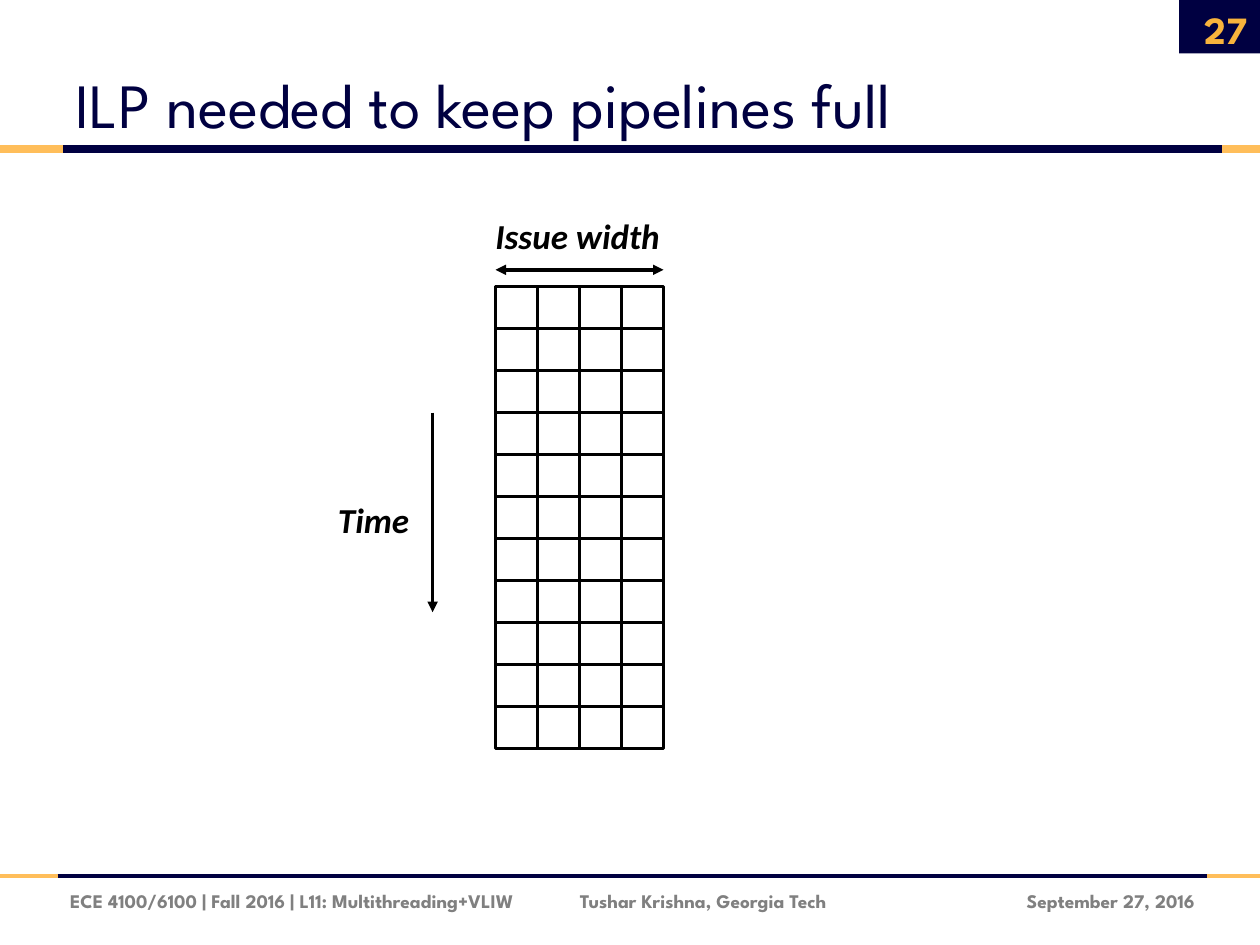
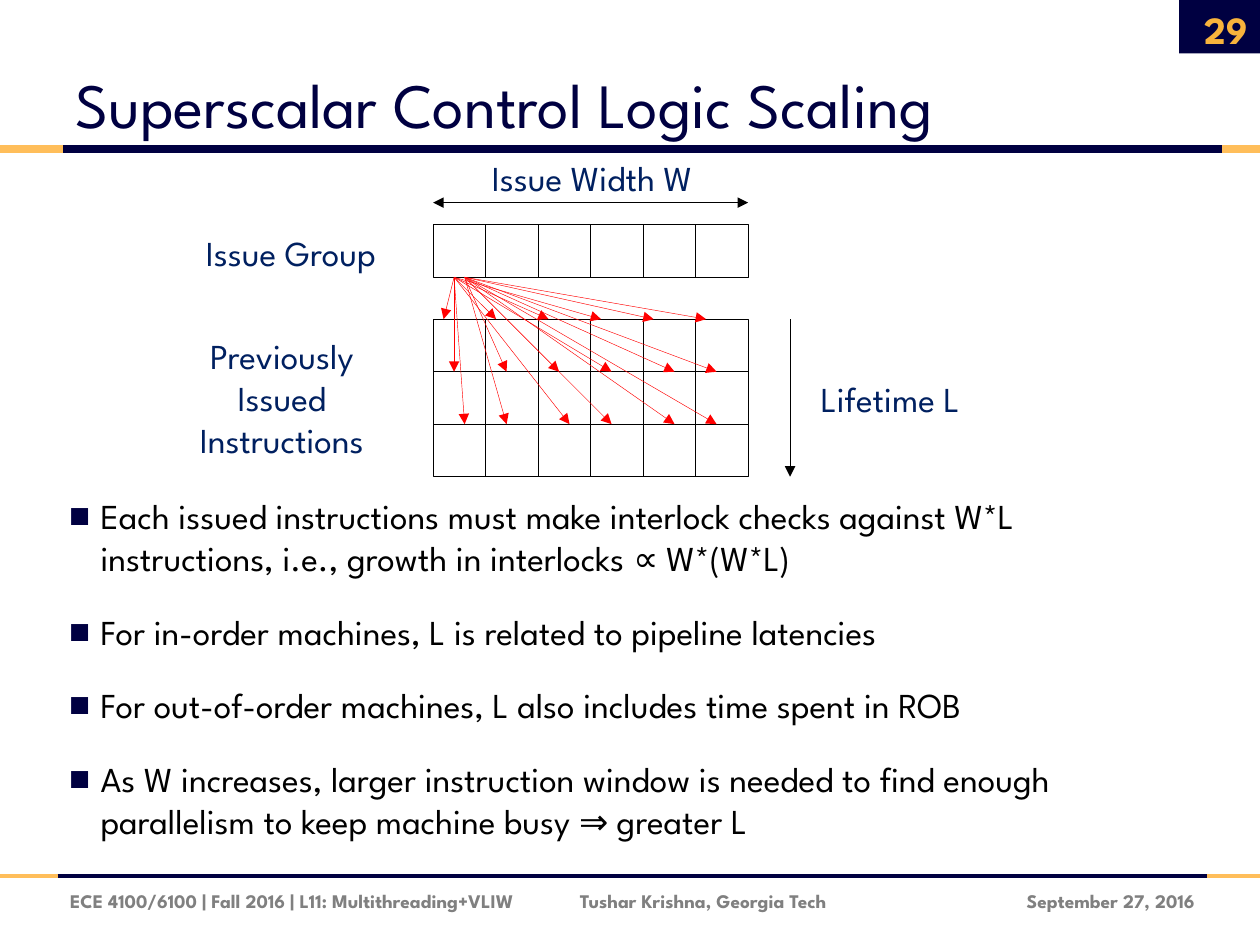
import pptx
import pptx.util
import pptx.dml.color
import pptx.enum.shapes
import pptx.enum.text
import pptx.oxml
import pptx.oxml.ns

NAVY, GOLD, BADGE = "000041", "FFBE5A", "F8B33C"
BLACK, WHITE, RED, BLUE = "000000", "FFFFFF", "FF0000", "002060"
GREY = "808080"
FONT = "League Spartan"
COLS, ROWS = 120, 90
WIDE, HIGH = pptx.util.Inches(10), pptx.util.Inches(7.5)
ALIGN = pptx.enum.text.PP_ALIGN
ANCHOR = pptx.enum.text.MSO_ANCHOR

FANS = [
    (0, [(2, 1), (2, 6), (2, 11), (2, 16), (3, 21), (3, 26)]),
    (5, [(2, 2), (3, 7), (3, 12), (2, 17), (3, 23), (3, 27)]),
    (10, [(2, 3), (3, 7), (2, 13), (3, 17), (3, 23), (3, 27)]),
]
POINTS = [
    "Each issued instructions must make interlock checks against W*L "
    "instructions, i.e., growth in interlocks ∝ W*(W*L)",
    "For in-order machines, L is related to pipeline latencies",
    "For out-of-order machines, L also includes time spent in ROB",
    "As W increases, larger instruction window is needed to find enough "
    "parallelism to keep machine busy ⇒ greater L",
]


def tint(code):
    """Turn a hex string into a colour."""
    return pptx.dml.color.RGBColor.from_string(code)


def span(x, y):
    """Turn grid columns and rows into slide lengths."""
    return round(x * WIDE / COLS), round(y * HIGH / ROWS)


def shift(box, x, y, w, h):
    """Place a part relative to the corner of a box."""
    return box[0] + x, box[1] + y, w, h


def node(parent, tag, **attrs):
    """Append a drawing element to a parent."""
    item = pptx.oxml.parse_xml(f"<a:{tag} {pptx.oxml.ns.nsdecls('a')}/>")
    for key, val in attrs.items():
        item.set(key, val)
    parent.append(item)
    return item


def block(slide, box, fill=None, edge=None, width=0):
    """Draw a plain rectangle."""
    shape = slide.shapes.add_shape(
        pptx.enum.shapes.MSO_SHAPE.RECTANGLE, *span(*box[:2]), *span(*box[2:]))
    shape.shadow.inherit = False
    if fill:
        shape.fill.solid()
        shape.fill.fore_color.rgb = tint(fill)
    else:
        shape.fill.background()
    if edge:
        shape.line.color.rgb = tint(edge)
        shape.line.width = pptx.util.Pt(width)
    else:
        shape.line.fill.background()


def rule(slide, start, end, color, width, head=False, tail=False):
    """Draw a straight line with optional arrowheads."""
    line = slide.shapes.add_connector(
        pptx.enum.shapes.MSO_CONNECTOR.STRAIGHT, *span(*start), *span(*end))
    line.line.color.rgb = tint(color)
    line.line.width = pptx.util.Pt(width)
    stroke = line.line._get_or_add_ln()
    for tag, shown in (("headEnd", head), ("tailEnd", tail)):
        if shown:
            node(stroke, tag, type="triangle")
    node(line._element.spPr, "effectLst")


def write(slide, box, lines, size, color, font=FONT, align=ALIGN.LEFT,
          anchor=ANCHOR.MIDDLE, bold=False, slant=False):
    """Write paragraphs in a box and return them."""
    shape = slide.shapes.add_textbox(*span(*box[:2]), *span(*box[2:]))
    frame = shape.text_frame
    frame.word_wrap = True
    frame.vertical_anchor = anchor
    for at, text in enumerate(lines):
        para = frame.add_paragraph() if at else frame.paragraphs[0]
        para.alignment = align
        run = para.add_run()
        run.text = text
        run.font.size = pptx.util.Pt(size)
        run.font.name = font
        run.font.bold, run.font.italic = bold, slant
        run.font.color.rgb = tint(color)
    return frame.paragraphs


def lattice(slide, box, cols, rows, fill, width):
    """Fill a box with equal outlined cells."""
    x, y, w, h = box
    w, h = w / cols, h / rows
    for row in range(rows):
        for col in range(cols):
            block(slide, (x + col * w, y + row * h, w, h), fill, BLACK, width)


def band(slide, y, left, right, width):
    """Draw a navy rule with gold ends across the slide."""
    stops = (0, left, right, COLS)
    for start, end, color in zip(stops, stops[1:], (GOLD, NAVY, GOLD)):
        rule(slide, (start, y), (end, y), color, width)


def frame(deck, title, page):
    """Add a slide with its title, bands, footer and page number."""
    slide = deck.slides.add_slide(deck.slide_layouts[6])
    block(slide, (112.3, 0, 7.7, 5.1), NAVY)
    band(slide, 83.4, 5.5, 115, 2.25)
    band(slide, 14.15, 6, 116.4, 4.5)
    write(slide, (6, 2, 107.4, 12), [title], 36, NAVY, anchor=ANCHOR.BOTTOM)
    for x, w, text, align in (
            (5.5, 48, "ECE 4100/6100 | Fall 2016 | L11: Multithreading+VLIW", ALIGN.LEFT),
            (54.05, 36, "Tushar Krishna, Georgia Tech", ALIGN.LEFT),
            (92, 23, "September 27, 2016", ALIGN.RIGHT)):
        write(slide, (x, 83.4, w, 4.8), [text], 11, GREY, align=align, bold=True)
    write(slide, (112, 0.4, 8, 4.8), [page], 22, BADGE, align=ALIGN.RIGHT, bold=True)
    return slide


def slots(slide, box):
    """Draw issue slots over time with both axes."""
    x, y, w, h = box
    lattice(slide, box, 4, 11, WHITE, 2)
    rule(slide, (x, y - 1.6), (x + w, y - 1.6), BLACK, 2, True, True)
    rule(slide, (x - 6, y + 12), (x - 6, y + 31), BLACK, 2, tail=True)
    for part, text in (((-1.2, -7.5, 19, 5.3), "Issue width"),
                       ((-16.2, 19.5, 10.2, 5.3), "Time")):
        write(slide, shift(box, *part), [text], 20, BLACK, "Calibri",
              bold=True, slant=True)


def checks(slide, box):
    """Draw the issue group checking all earlier instructions."""
    x, y, w, h = box
    lattice(slide, box, 6, 3, None, 0.25)
    lattice(slide, shift(box, 0, -9, w, h / 3), 6, 1, None, 0.25)
    rule(slide, (x, y - 11.1), (x + w, y - 11.1), BLACK, 0.25, True, True)
    rule(slide, (x + 34, y), (x + 34, y + h), BLACK, 0.25, tail=True)
    for part, text in (((2.9, -16.1, 24.5, 5.3), "Issue Width W"),
                       ((-24.3, -9, 21.5, 5.3), "Issue Group"),
                       ((-27, 0.9, 25.2, 13.2), "Previously Issued Instructions"),
                       ((34.8, 4.9, 17.5, 5.3), "Lifetime L")):
        write(slide, shift(box, *part), [text], 20, BLUE, align=ALIGN.CENTER)
    for depth, fan in FANS:
        for start, end in fan:
            rule(slide, (x + start, y - 4), (x + end, y + depth), RED, 0.25, tail=True)


def bullets(slide, box, lines):
    """Write a list with square navy bullets."""
    for para in write(slide, box, lines, 20, BLACK):
        para.space_before = pptx.util.Pt(18)
        props = para._p.get_or_add_pPr()
        indent = pptx.util.Inches(0.25)
        props.set("marL", str(indent))
        props.set("indent", str(-indent))
        node(node(props, "buClr"), "srgbClr", val=NAVY)
        node(props, "buFont", typeface="Arial")
        node(props, "buChar", char="■")


def main():
    """Build and save both slides."""
    deck = pptx.Presentation()
    deck.slide_width, deck.slide_height = WIDE, HIGH
    slide = frame(deck, "ILP needed to keep pipelines full", "27")
    slots(slide, (47.2, 27.3, 16, 44))
    slide = frame(deck, "Superscalar Control Logic Scaling", "29")
    bullets(slide, (5.4, 46.3, 109.6, 34.6), POINTS)
    checks(slide, (41.25, 30.4, 30, 15))
    deck.save("out.pptx")


if __name__ == "__main__":
    main()
